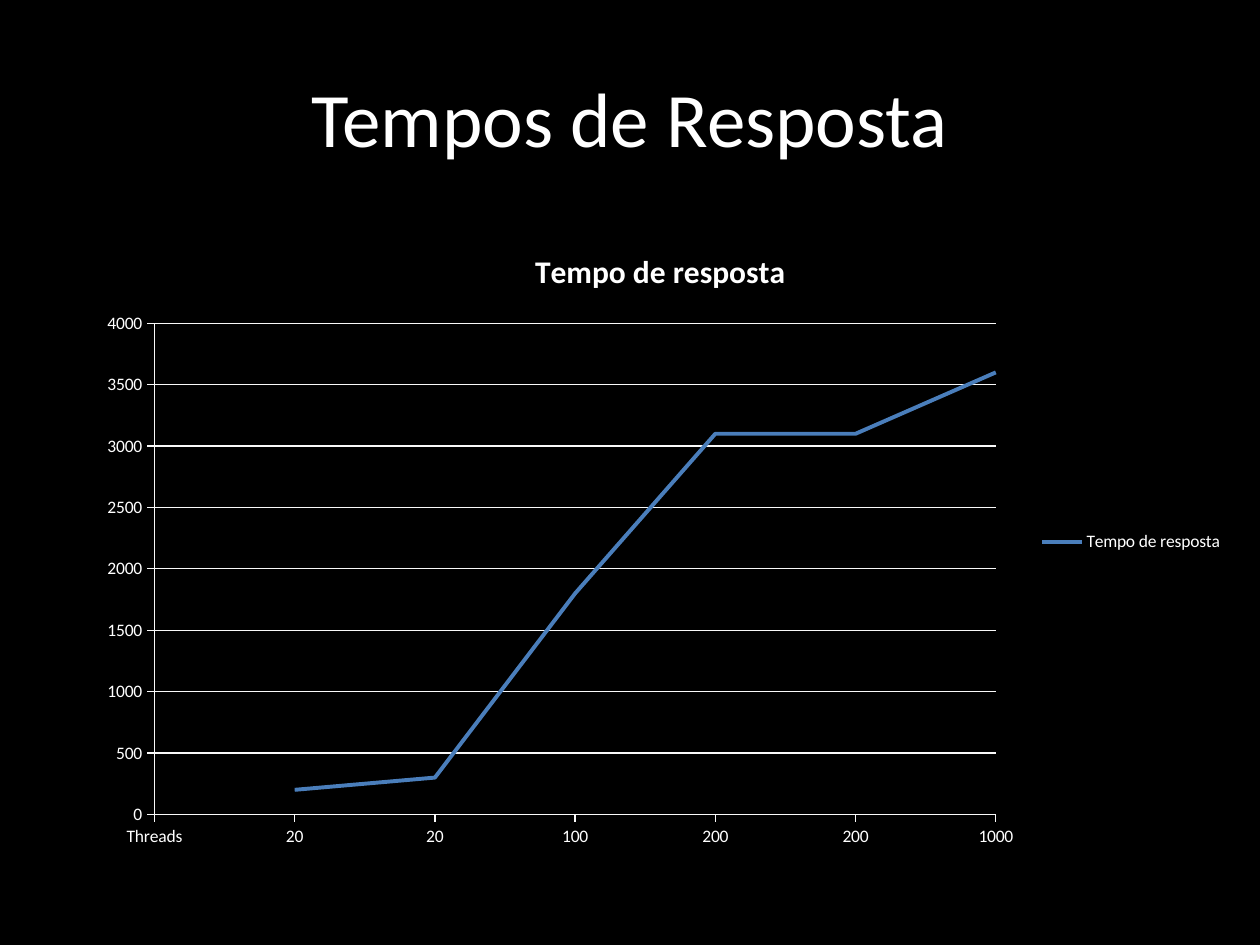
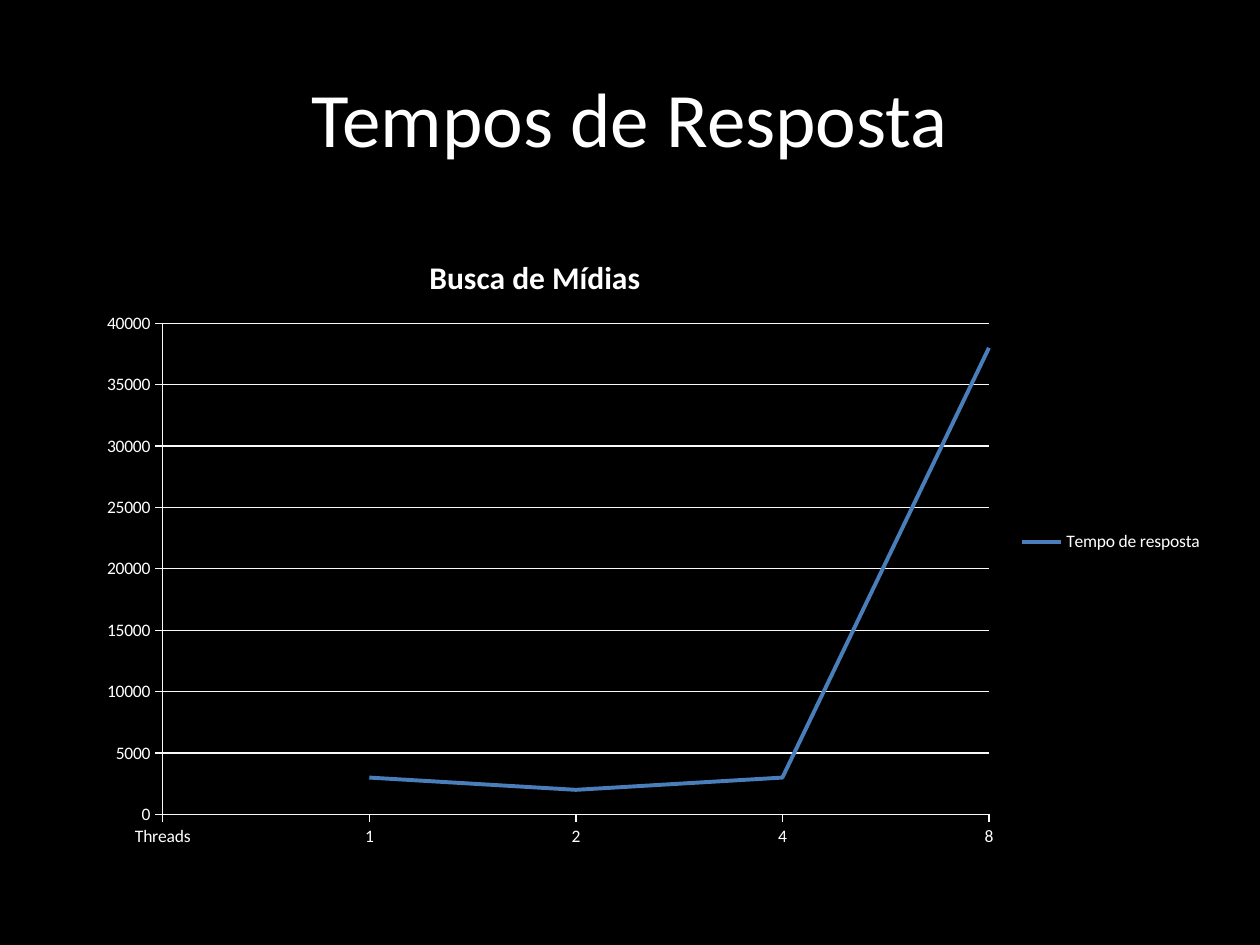
"""Builds two slides of response time line charts on black."""
import dataclasses
import typing

import lxml.etree
import pptx
import pptx.chart.axis
import pptx.chart.chart
import pptx.chart.data
import pptx.dml.color
import pptx.dml.line
import pptx.enum.chart
import pptx.enum.text
import pptx.oxml
import pptx.oxml.ns
import pptx.presentation
import pptx.slide
import pptx.text.text
import pptx.util

COLORS = {"back": "000000", "text": "FFFFFF", "axis": "F9F9F9", "series": "4A7EBB"}
FONT = "Calibri"
COLUMNS, ROWS = 100, 75
HEADING = "Tempos de Resposta"
SERIES = "Tempo de resposta"


class Box(typing.NamedTuple):
    """A rectangle in grid columns and rows."""
    left: float
    top: float
    width: float
    height: float


@dataclasses.dataclass
class TimeChart:
    """One response time chart and the optional place of its title."""
    title: str
    box: Box
    threads: list[str]
    times: list[int]
    title_at: tuple[float, float] | None = None


TITLE_BOX = Box(5, 3, 90, 12.5)
CHARTS = [
    TimeChart("Tempo de resposta", Box(6.7, 17.8, 91.4, 50.4),
              ["20", "20", "100", "200", "200", "1000"],
              [200, 300, 1800, 3100, 3100, 3600]),
    TimeChart("Busca de Mídias", Box(6.7, 17.8, 89.8, 50.4),
              ["1", "2", "4", "8"], [3000, 2000, 3000, 38000], (0.3, 0.04)),
]


def rgb(name: str) -> pptx.dml.color.RGBColor:
    """Return a named colour."""
    return pptx.dml.color.RGBColor.from_string(COLORS[name])


def place(prs: pptx.presentation.Presentation, box: Box) -> list[int]:
    """Turn a grid box into slide lengths."""
    col, row = prs.slide_width / COLUMNS, prs.slide_height / ROWS
    return [round(n * unit) for n, unit in zip(box, (col, row, col, row))]


def style_font(font: pptx.text.text.Font, size: int, bold: bool = False) -> None:
    """Apply the shared text style."""
    font.name, font.size, font.bold = FONT, pptx.util.Pt(size), bold
    font.color.rgb = rgb("text")


def style_line(line: pptx.dml.line.LineFormat, color: str, width: float) -> None:
    """Set the colour and width of a line."""
    line.color.rgb = rgb(color)
    line.width = pptx.util.Pt(width)


def style_axis(axis: pptx.chart.axis.CategoryAxis | pptx.chart.axis.ValueAxis) -> None:
    """Format an axis and its labels."""
    axis.major_tick_mark = pptx.enum.chart.XL_TICK_MARK.OUTSIDE
    axis.minor_tick_mark = pptx.enum.chart.XL_TICK_MARK.NONE
    style_font(axis.tick_labels.font, 10)
    style_line(axis.format.line, "axis", 0.75)


def move_chart_title(chart: pptx.chart.chart.Chart, at: tuple[float, float]) -> None:
    """Place the chart title at shares of the chart's size."""
    qn = pptx.oxml.ns.qn
    title = chart.chart_title._element
    for old in title.findall(qn("c:layout")):
        title.remove(old)
    layout = pptx.oxml.parse_xml(f"<c:layout {pptx.oxml.ns.nsdecls('c')}/>")
    title.find(qn("c:tx")).addnext(layout)
    manual = lxml.etree.SubElement(layout, qn("c:manualLayout"))
    values = {"xMode": "edge", "yMode": "edge", "x": at[0], "y": at[1]}
    for tag, value in values.items():
        lxml.etree.SubElement(manual, qn(f"c:{tag}")).set("val", str(value))


def add_title(prs: pptx.presentation.Presentation, s: pptx.slide.Slide) -> None:
    """Fill and format the slide title."""
    sp = s.shapes.title
    sp.left, sp.top, sp.width, sp.height = place(prs, TITLE_BOX)
    tf = sp.text_frame
    tf.text = HEADING
    tf.vertical_anchor = pptx.enum.text.MSO_ANCHOR.MIDDLE
    p = tf.paragraphs[0]
    p.alignment = pptx.enum.text.PP_ALIGN.CENTER
    style_font(p.runs[0].font, 44)


def add_time_chart(prs: pptx.presentation.Presentation, s: pptx.slide.Slide,
                   spec: TimeChart) -> None:
    """Draw one line chart."""
    data = pptx.chart.data.CategoryChartData()
    data.categories = ["Threads", *spec.threads]
    data.add_series(SERIES, [None, *spec.times])
    chart = s.shapes.add_chart(pptx.enum.chart.XL_CHART_TYPE.LINE,
                               *place(prs, spec.box), data).chart
    style_font(chart.font, 10)

    chart.has_title = True
    tf = chart.chart_title.text_frame
    tf.text = spec.title
    style_font(tf.paragraphs[0].runs[0].font, 18, bold=True)
    if spec.title_at:
        move_chart_title(chart, spec.title_at)

    chart.has_legend = True
    chart.legend.position = pptx.enum.chart.XL_LEGEND_POSITION.RIGHT
    chart.legend.include_in_layout = False
    style_font(chart.legend.font, 10)

    style_axis(chart.category_axis)
    chart.category_axis.tick_label_position = pptx.enum.chart.XL_TICK_LABEL_POSITION.LOW
    axis = chart.value_axis
    style_axis(axis)
    axis.has_major_gridlines = True
    style_line(axis.major_gridlines.format.line, "axis", 0.75)
    cross = axis._element.find(pptx.oxml.ns.qn("c:crossBetween"))
    if cross is None:
        cross = pptx.oxml.parse_xml(f"<c:crossBetween {pptx.oxml.ns.nsdecls('c')}/>")
        axis._element.find(pptx.oxml.ns.qn("c:crosses")).addnext(cross)
    cross.set("val", "midCat")

    plot = chart.plots[0]
    plot.vary_by_categories = False
    series = plot.series[0]
    series.smooth = False
    series.marker.style = pptx.enum.chart.XL_MARKER_STYLE.NONE
    style_line(series.format.line, "series", 2.25)


def main() -> None:
    """Build and save the slides."""
    prs = pptx.Presentation()
    prs.slide_width, prs.slide_height = pptx.util.Inches(10), pptx.util.Inches(7.5)
    fill = prs.slide_master.background.fill
    fill.solid()
    fill.fore_color.rgb = rgb("back")
    for spec in CHARTS:
        s = prs.slides.add_slide(prs.slide_layouts.get_by_name("Title Only"))
        add_title(prs, s)
        add_time_chart(prs, s, spec)
    prs.save("out.pptx")


if __name__ == "__main__":
    main()
